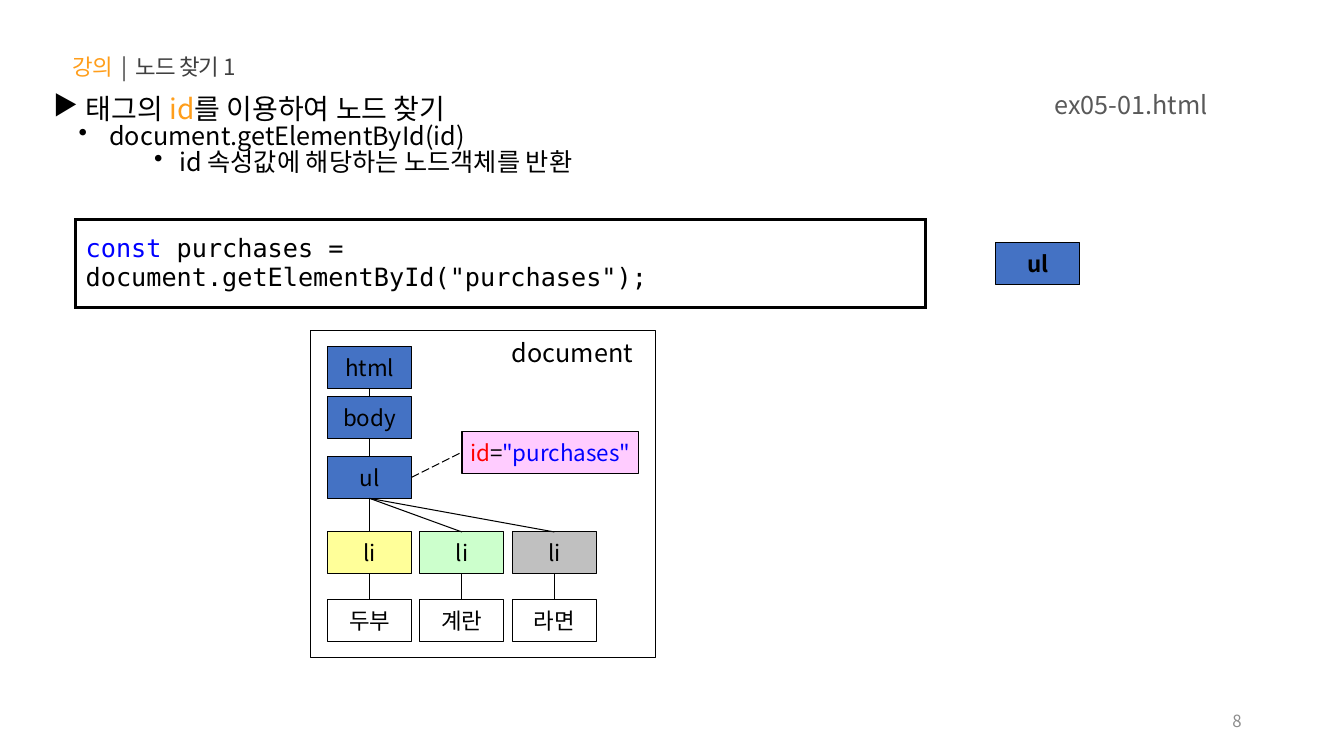
from lxml import etree
from pptx import Presentation
from pptx.dml.color import RGBColor
from pptx.enum.dml import MSO_LINE
from pptx.enum.shapes import MSO_CONNECTOR, MSO_SHAPE
from pptx.enum.text import MSO_ANCHOR, MSO_AUTO_SIZE, PP_ALIGN
from pptx.oxml.ns import qn
from pptx.util import Pt

RECT = MSO_SHAPE.RECTANGLE
LINE = MSO_CONNECTOR.STRAIGHT
DASH = MSO_LINE.LONG_DASH
LEFT, MID, RIGHT = PP_ALIGN.LEFT, PP_ALIGN.CENTER, PP_ALIGN.RIGHT
TOP, CENTER = MSO_ANCHOR.TOP, MSO_ANCHOR.MIDDLE
FIT, FIXED = MSO_AUTO_SIZE.SHAPE_TO_FIT_TEXT, MSO_AUTO_SIZE.NONE
SANS, MONO = "Noto Sans CJK KR", "DejaVu Sans Mono"
BLACK, BLUE, ORANGE = "000000", "4472C4", "FF9E1B"


def color(code):
    return RGBColor.from_string(code)


def apply(item, form):
    for name, value in form.items():
        setattr(item, name, value)


class Deck:
    """Draws styled elements on the current slide."""

    def __init__(self, wide, high):
        self.prs = Presentation()
        apply(self.prs, {"slide_width": Pt(wide), "slide_height": Pt(high)})
        self.slide = self.prs.slides.add_slide(self.prs.slide_layouts[5])
        self.shapes = self.slide.shapes

    def fill_in(self, para, runs, size, align=LEFT, face=SANS, bold=False, track=0):
        para.alignment = align
        for text, code in runs:
            run = para.add_run()
            run.text = text
            apply(run.font, {"name": face, "size": Pt(size), "bold": bold})
            run.font.color.rgb = color(code)
            props = run._r.get_or_add_rPr()
            etree.SubElement(props, qn("a:ea"), typeface=face)
            if track:
                props.set("spc", str(track))

    def title(self, box, runs, size, track):
        shape = self.shapes.title
        apply(shape, dict(zip(("left", "top", "width", "height"), map(Pt, box))))
        apply(shape.text_frame, {"word_wrap": True, "auto_size": FIT,
                                 "vertical_anchor": TOP})
        self.fill_in(shape.text_frame.paragraphs[0], runs, size, track=track)

    def text(self, box, runs, size, align=LEFT, anchor=TOP, wrap=True, fit=FIT):
        frame = self.shapes.add_textbox(*map(Pt, box)).text_frame
        apply(frame, {"word_wrap": wrap, "auto_size": fit, "vertical_anchor": anchor})
        self.fill_in(frame.paragraphs[0], runs, size, align)
        return frame

    def bullet(self, para, mark, left, hang, level):
        apply(para, {"level": level, "line_spacing": 0.85})
        props = para._p.get_or_add_pPr()
        props.set("marL", str(Pt(left)))
        props.set("indent", str(Pt(hang)))
        etree.SubElement(props, qn("a:buChar"), char=mark)

    def rect(self, box, fill=None, runs=(), bold=False):
        shape = self.shapes.add_shape(RECT, *map(Pt, box))
        shape.shadow.inherit = False
        if fill:
            shape.fill.solid()
            shape.fill.fore_color.rgb = color(fill)
        else:
            shape.fill.background()
        shape.line.color.rgb = color(BLACK)
        shape.line.width = Pt(0.75)
        apply(shape.text_frame, {"word_wrap": False, "vertical_anchor": CENTER})
        self.fill_in(shape.text_frame.paragraphs[0], runs, 16, MID, bold=bold)
        return shape

    def node(self, left, top, name, fill, bold=False):
        return self.rect((left, top, 60, 30), fill, [(name, BLACK)], bold)

    def join(self, start, end, out=2, into=0, dash=None):
        link = self.shapes.add_connector(LINE, 0, 0, 0, 0)
        link.begin_connect(start, out)
        link.end_connect(end, into)
        link.line.color.rgb = color(BLACK)
        apply(link.line, {"width": Pt(0.75), "dash_style": dash})
        etree.SubElement(link._element.spPr, qn("a:effectLst"))

    def code(self, box, runs, size):
        table = self.shapes.add_table(1, 1, *map(Pt, box)).table
        apply(table, {"first_row": False, "horz_banding": False})
        cell = table.cell(0, 0)
        cell.vertical_anchor = CENTER
        cell.fill.background()
        props = cell._tc.get_or_add_tcPr()
        for spot, side in enumerate(("lnL", "lnR", "lnT", "lnB")):
            edge = etree.Element(qn("a:" + side), w=str(Pt(2.25)))
            fill = etree.SubElement(edge, qn("a:solidFill"))
            etree.SubElement(fill, qn("a:srgbClr"), val=BLACK)
            props.insert(spot, edge)
        self.fill_in(cell.text_frame.paragraphs[0], runs, size, face=MONO)


def main():
    deck = Deck(960, 540)
    deck.title((44.6, 34.6, 370.8, 26.6),
               [("강의  ", ORANGE), ("|  노드 찾기 1", "404040")], 16, -60)
    deck.text((678, 500.4, 216, 28.8), [("8", "8C8C8C")], 12, RIGHT, CENTER, fit=FIXED)
    deck.text((581.8, 60.5, 288, 28.8), [("ex05-01.html", "595959")], 18, RIGHT)

    points = deck.text((31, 65.5, 658, 74.2),
                       [(" 태그의 ", BLACK), ("id", ORANGE),
                        ("를 이용하여 노드 찾기", BLACK)], 20)
    deck.bullet(points.paragraphs[0], "▶", 0, 0, 0)
    for level, left, text in ((1, 36, " document.getElementById(id)"),
                              (2, 90, "id 속성값에 해당하는 노드객체를 반환")):
        para = points.add_paragraph()
        deck.fill_in(para, [(text, BLACK)], 18)
        deck.bullet(para, "•", left, -18, level)

    deck.code((54, 157, 607, 62.6),
              [("const", "0000FF"),
               (' purchases = document.getElementById("purchases");', BLACK)], 18)
    deck.node(711.4, 173.5, "ul", BLUE, True)

    deck.rect((222, 236, 246, 234))
    deck.text((358.6, 237.6, 105.8, 28.8), [("document", BLACK)], 18, wrap=False)
    html, body, root = [deck.node(234, top, name, BLUE) for top, name in
                        ((247.5, "html"), (283.5, "body"), (326, "ul"))]
    deck.join(html, body)
    deck.join(body, root)
    label = deck.rect((330, 308, 126, 30), "FFCCFF",
                      [("id", "FF0000"), ("=", BLACK), ('"purchases"', "0000FF")])
    deck.join(root, label, 3, 1, DASH)
    foods = (("두부", "FFFF99"), ("계란", "CCFFCC"), ("라면", "C0C0C0"))
    for col, (food, fill) in enumerate(foods):
        left = 234 + 66 * col
        item = deck.node(left, 380, "li", fill)
        leaf = deck.node(left, 428, food, "FFFFFF")
        deck.join(root, item)
        deck.join(item, leaf)
    deck.prs.save("out.pptx")


if __name__ == "__main__":
    main()
